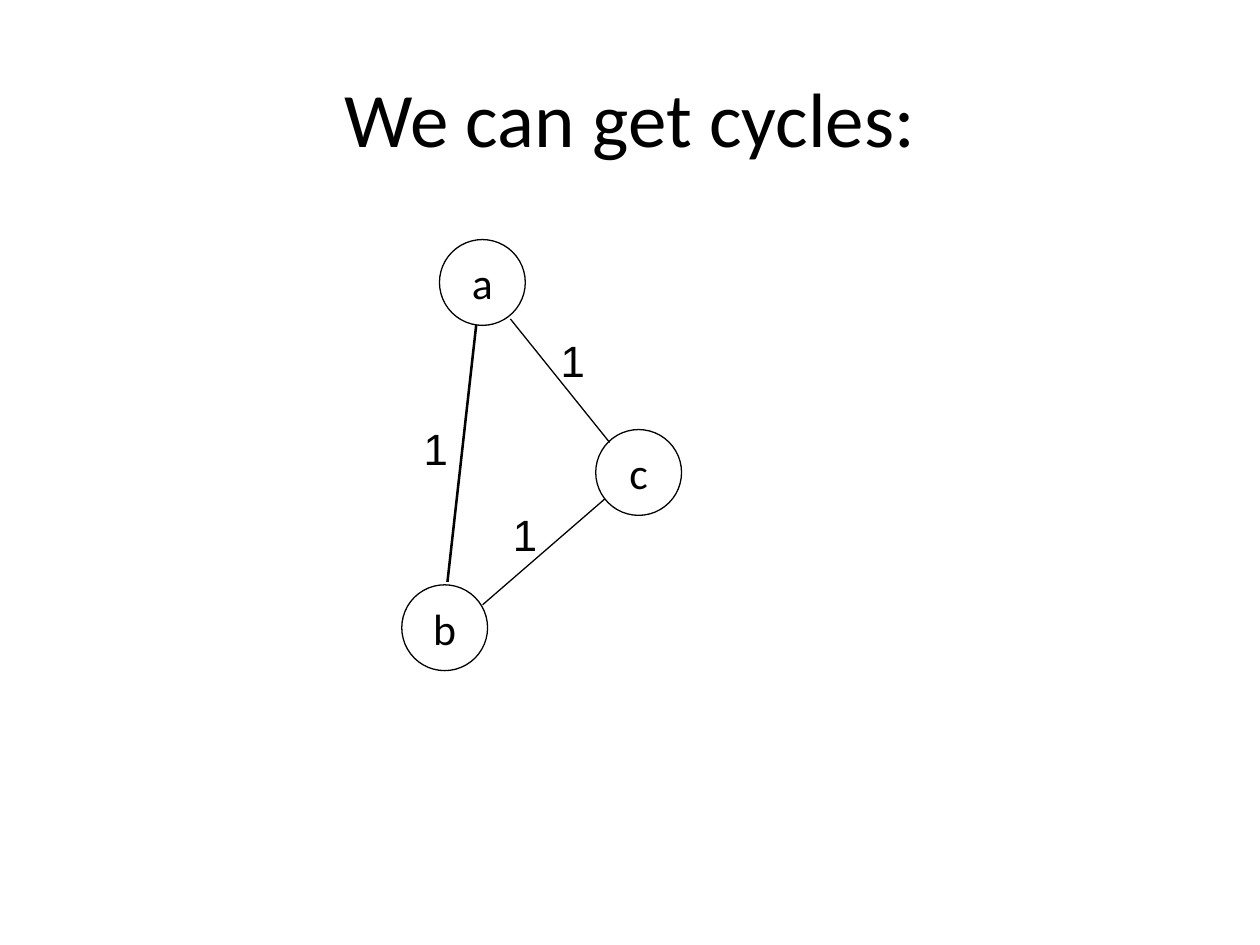
from lxml.etree import SubElement
from pptx import Presentation
from pptx.dml.color import RGBColor
from pptx.enum.shapes import MSO_CONNECTOR as Connector, MSO_SHAPE as Shape
from pptx.enum.text import MSO_ANCHOR as Anchor, PP_ALIGN as Align
from pptx.oxml.ns import qn
from pptx.util import Cm, Pt

COLOURS = {"ink": "000000", "paper": "FFFFFF"}


class GraphPage:
    """The current slide and the style of its graph."""

    text_font, weight_font = "Calibri", "Arial"
    title_size, label_size = 44, 25
    node_size = 1.73
    thin = 0.75

    def __init__(self, deck):
        self.page = deck.slides.add_slide(deck.slide_layouts[5])
        fill = self.page.background.fill
        fill.solid()
        fill.fore_color.rgb = self.colour("paper")

    def colour(self, name):
        return RGBColor.from_string(COLOURS[name])

    def set_text(self, shape, text, font, size, align, anchor, insets, wrap=True):
        frame = shape.text_frame
        frame.text = text
        frame.word_wrap = wrap
        frame.vertical_anchor = anchor
        frame.margin_left = frame.margin_right = Cm(insets[0])
        frame.margin_top = frame.margin_bottom = Cm(insets[1])
        para = frame.paragraphs[0]
        para.alignment = align
        para.font.name = font
        para.font.size = Pt(size)
        para.font.color.rgb = self.colour("ink")

    def title(self, text, left, top, width, height):
        title = self.page.shapes.title
        title.left, title.top = Cm(left), Cm(top)
        title.width, title.height = Cm(width), Cm(height)
        self.set_text(title, text, self.text_font, self.title_size,
                      Align.CENTER, Anchor.MIDDLE, (0, 0))

    def node(self, name, left, top):
        size = Cm(self.node_size)
        circle = self.page.shapes.add_shape(Shape.OVAL, Cm(left), Cm(top), size, size)
        circle.shadow.inherit = False
        circle.fill.background()
        circle.line.color.rgb = self.colour("ink")
        circle.line.width = Pt(self.thin)
        self.set_text(circle, name, self.text_font, self.label_size,
                      Align.CENTER, Anchor.MIDDLE, (0.23, 0.1))

    def edge(self, start, end, width=thin):
        line = self.page.shapes.add_connector(
            Connector.STRAIGHT, *(Cm(value) for value in start + end))
        line.line.color.rgb = self.colour("ink")
        line.line.width = Pt(width)
        SubElement(line._element.spPr, qn("a:effectLst"))

    def weight(self, text, left, top):
        box = self.page.shapes.add_textbox(Cm(left), Cm(top), Cm(0.97), Cm(1.35))
        self.set_text(box, text, self.weight_font, self.label_size,
                      Align.LEFT, Anchor.TOP, (0.23, 0.1), wrap=False)


def main():
    deck = Presentation()
    deck.slide_width, deck.slide_height = Cm(25.4), Cm(19.05)
    graph = GraphPage(deck)
    graph.title("We can get cycles:", 1.27, 0.76, 22.86, 3.18)

    # Nodes
    for name, left, top in (("b", 8.1, 11.79), ("c", 12.01, 8.66), ("a", 8.86, 4.83)):
        graph.node(name, left, top)

    # Edges: a-c, b-c and the heavier a-b
    graph.edge((10.29, 6.43), (12.29, 8.92))
    graph.edge((9.73, 12.19), (12.19, 10.06))
    graph.edge((9.6, 6.55), (9.02, 11.73), width=1.45)

    # Edge weights
    for left, top in ((11.07, 6.63), (10.11, 10.13), (8.31, 8.41)):
        graph.weight("1", left, top)

    deck.save("out.pptx")


if __name__ == "__main__":
    main()
